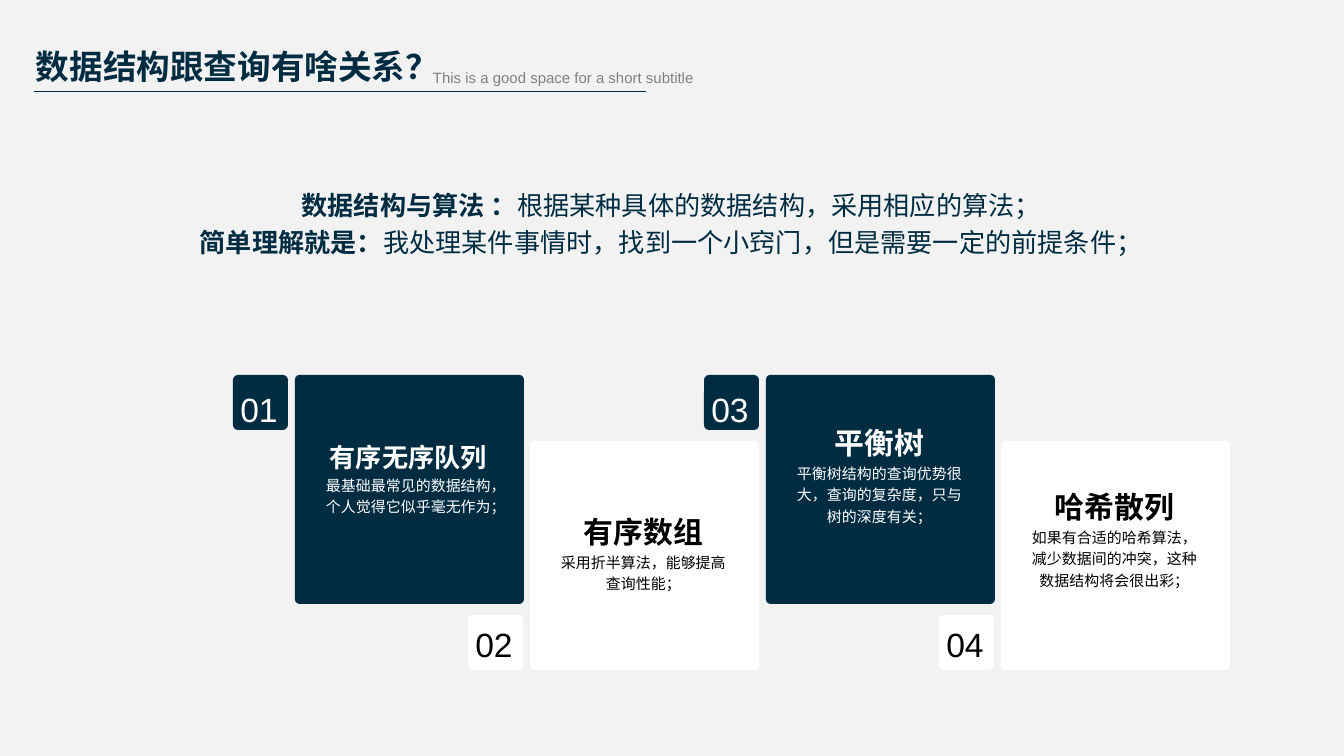
from lxml import etree
from pptx import Presentation
from pptx import util as u
from pptx.dml.color import RGBColor
from pptx.enum import shapes, text
from pptx.oxml.ns import qn

PX = 914400 / 134.4
NAVY = RGBColor(0x00, 0x2C, 0x42)
WHITE = RGBColor(0xFF, 0xFF, 0xFF)
BLACK = RGBColor(0x00, 0x00, 0x00)
GREY = RGBColor(0x80, 0x80, 0x80)
PAPER = RGBColor(0xF2, 0xF2, 0xF2)
LATIN, HAN = "Arial", "Noto Sans CJK SC"
CARD, BADGE, CARD_SHIFT, CORNER = 229, 55, 62, 5

# number, heading, heading size, body, caption offset from the card top
TOPICS = [
    ("01", "有序无序队列", 14, "最基础最常见的数据结构，个人觉得它似乎毫无作为；", 60),
    ("02", "有序数组", 16, "采用折半算法，能够提高查询性能；", 66),
    ("03", "平衡树", 16, "平衡树结构的查询优势很大，查询的复杂度，只与树的深度有关；", 43),
    ("04", "哈希散列", 16, "如果有合适的哈希算法，减少数据间的冲突，这种数据结构将会很出彩；", 41),
]
DEFINITIONS = [
    ("数据结构与算法 ：", "根据某种具体的数据结构，采用相应的算法；"),
    ("简单理解就是：", "我处理某件事情时，找到一个小窍门，但是需要一定的前提条件；"),
]


def emu(*lengths):
    return [u.Emu(round(length * PX)) for length in lengths]


def style(run, size, color, bold=False, font=LATIN):
    run.font.size = u.Pt(size)
    run.font.bold = bold
    run.font.color.rgb = color
    run.font.name = font
    east_asian = etree.Element(qn("a:ea"), typeface=HAN)
    run.font._element.find(qn("a:latin")).addnext(east_asian)


def set_frame(frame, wrap, insets):
    frame.word_wrap = wrap
    frame.auto_size = text.MSO_AUTO_SIZE.SHAPE_TO_FIT_TEXT
    frame.vertical_anchor = text.MSO_ANCHOR.TOP
    (frame.margin_left, frame.margin_top,
     frame.margin_right, frame.margin_bottom) = emu(*insets)


def add_text(slide, box, wrap=True, insets=(0, 0, 0, 0)):
    frame = slide.shapes.add_textbox(*emu(*box)).text_frame
    set_frame(frame, wrap, insets)
    return frame


def center(paragraph, spacing=1.2):
    paragraph.alignment = text.PP_ALIGN.CENTER
    paragraph.line_spacing = spacing


def add_tile(slide, x, y, side, color):
    tile = slide.shapes.add_shape(
        shapes.MSO_SHAPE.ROUNDED_RECTANGLE, *emu(x, y, side, side))
    tile.adjustments[0] = round(CORNER / side, 2)
    tile.shadow.inherit = False
    tile.fill.solid()
    tile.fill.fore_color.rgb = color
    tile.line.fill.background()


def add_header(slide, x, y, width):
    # Rule under the title
    rule = slide.shapes.add_connector(
        shapes.MSO_CONNECTOR.STRAIGHT, *emu(x, y + 53, x + width, y + 53))
    rule.line.color.rgb = NAVY
    rule.line.width = u.Pt(0.5)
    etree.SubElement(rule._element.spPr, qn("a:effectLst"))

    # Title
    title = slide.shapes.title
    title.left, title.top, title.width, title.height = emu(x + 2, y, 417, 54)
    insets = (0, 7, 13, 7)
    set_frame(title.text_frame, False, insets)
    title.text_frame.text = "数据结构跟查询有啥关系？"
    heading = title.text_frame.paragraphs[0]
    heading.alignment = text.PP_ALIGN.LEFT
    style(heading.runs[0], 18, NAVY, True, HAN)

    # Subtitle
    subtitle = add_text(slide, (x + 399, y + 23, 276, 31), False, insets)
    subtitle.text = "This is a good space for a short subtitle"
    style(subtitle.paragraphs[0].runs[0], 8, GREY)


def add_definitions(slide, x, y, width, height):
    frame = add_text(slide, (x, y, width, height))
    for i, (term, meaning) in enumerate(DEFINITIONS):
        line = frame.add_paragraph() if i else frame.paragraphs[0]
        center(line)
        for words, bold in ((term, True), (meaning, False)):
            run = line.add_run()
            run.text = words
            style(run, 14, NAVY, bold)


def add_topic(slide, x, y, topic, raised):
    number, heading, heading_size, body, caption_top = topic
    fill, ink = (NAVY, WHITE) if raised else (WHITE, BLACK)
    badge_y = y if raised else y + CARD - BADGE

    # Card and number badge
    card_x = x + CARD_SHIFT
    add_tile(slide, card_x, y, CARD, fill)
    add_tile(slide, x, badge_y, BADGE, fill)
    label_y = badge_y + (7 if raised else 2)
    label = add_text(slide, (x - 6, label_y, 64, 54), False, (13, 7, 13, 7))
    label.text = number
    center(label.paragraphs[0], 1.0)
    style(label.paragraphs[0].runs[0], 18, ink)

    # Caption
    caption = add_text(slide, (card_x + 29, y + caption_top, 169, 109))
    caption.text = heading + "\n" + body
    for line, size, bold in zip(caption.paragraphs, (heading_size, 8), (True, False)):
        center(line)
        style(line.runs[0], size, ink, bold)


def main():
    deck = Presentation()
    deck.slide_width, deck.slide_height = emu(1344, 756)
    slide = deck.slides.add_slide(deck.slide_layouts[5])
    slide.background.fill.solid()
    slide.background.fill.fore_color.rgb = PAPER

    add_header(slide, 34, 39, 612)
    add_definitions(slide, 121, 183, 1101, 75)
    for i, topic in enumerate(TOPICS):
        raised = i % 2 == 0
        add_topic(slide, 233 + i * 471 // 2, 375 if raised else 441, topic, raised)
    deck.save("out.pptx")


if __name__ == "__main__":
    main()
